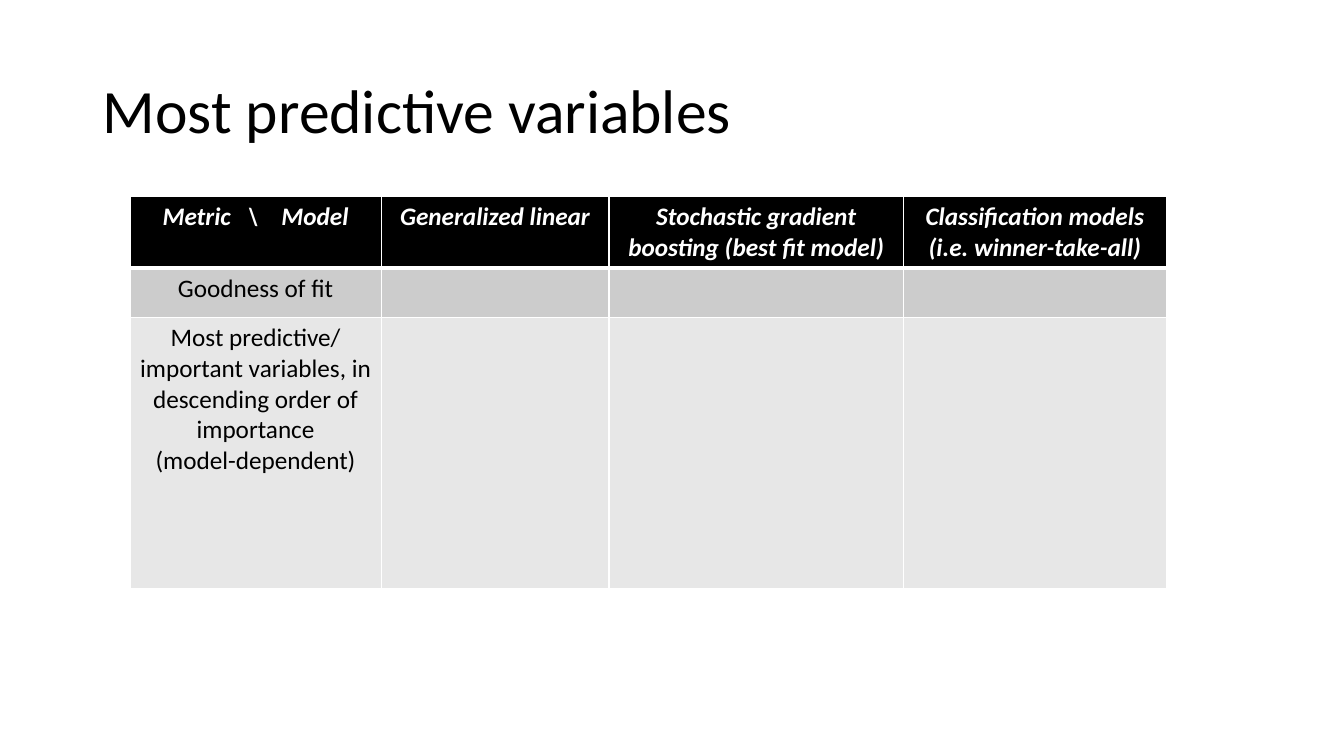
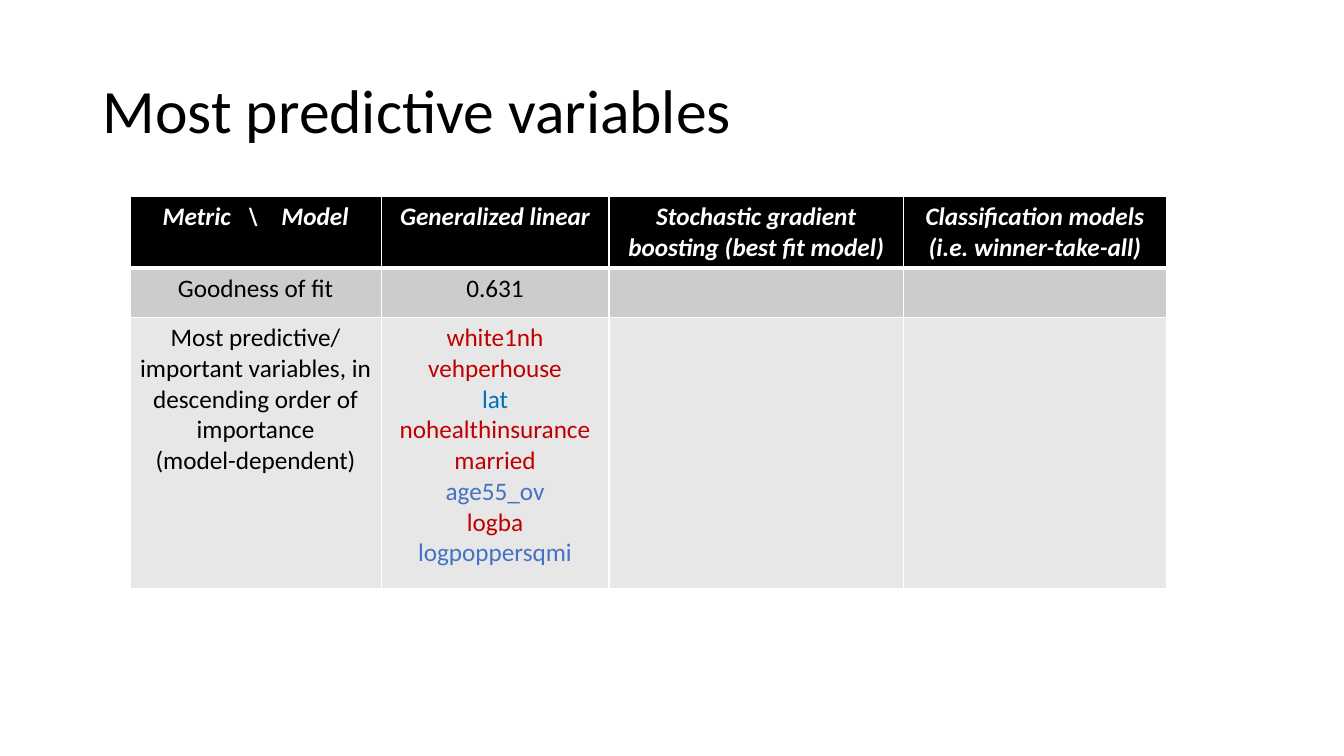
"""Build two slides that compare the most predictive variables by model."""
from dataclasses import dataclass

from lxml import etree
from pptx import Presentation
from pptx.dml.color import RGBColor
from pptx.enum import text
from pptx.oxml import ns
from pptx.util import Inches, Pt


@dataclass(frozen=True)
class Theme:
    font: str = "Calibri"
    title_size: int = 44
    body_size: int = 18
    ink: str = "000000"
    paper: str = "FFFFFF"
    row_fills: tuple = ("000000", "CCCCCC", "E7E7E7")
    red: str = "C00000"
    blue: str = "0070C0"
    soft_blue: str = "4472C4"
    rule: int = 1
    header_rule: int = 3


class SlideBuilder:
    def __init__(self, deck, theme):
        self.deck = deck
        self.theme = theme
        self.page = None

    def add_page(self, title):
        self.page = self.deck.slides.add_slide(self.deck.slide_layouts[5])
        box = self.page.shapes.title
        box.left, box.top = Inches(0.92), Inches(0.4)
        box.width, box.height = Inches(11.5), Inches(1.45)
        frame = box.text_frame
        frame.text = title
        frame.vertical_anchor = text.MSO_ANCHOR.MIDDLE
        para = frame.paragraphs[0]
        para.alignment = text.PP_ALIGN.LEFT
        para.line_spacing = 0.9
        self.style(para, self.theme.title_size, self.theme.ink)

    def style(self, para, size, color, strong=False):
        for span in para.runs:
            font = span.font
            font.name = self.theme.font
            font.size = Pt(size)
            font.bold = font.italic = strong
            font.color.rgb = RGBColor.from_string(color)

    def add_table(self, rows, widths, heights):
        frame = self.page.shapes.add_table(
            len(rows), len(widths), Inches(1.29), Inches(1.95),
            Inches(sum(widths)), Inches(sum(heights)))
        table = frame.table
        for column, width in zip(table.columns, widths):
            column.width = Inches(width)
        for row, height in zip(table.rows, heights):
            row.height = Inches(height)
        for row_index, row in enumerate(rows):
            for column_index, lines in enumerate(row):
                self.fill_cell(table.cell(row_index, column_index), row_index, lines)

    def fill_cell(self, cell, row_index, lines):
        theme = self.theme
        header = row_index == 0
        self.add_border(cell, "L", theme.rule)
        self.add_border(cell, "R", theme.rule)
        self.add_border(cell, "T", theme.header_rule if row_index == 1 else theme.rule)
        self.add_border(cell, "B", theme.header_rule if header else theme.rule)
        cell.fill.solid()
        cell.fill.fore_color.rgb = RGBColor.from_string(theme.row_fills[row_index])
        default_color = theme.paper if header else theme.ink
        entries = [line if isinstance(line, tuple) else (line, default_color)
                   for line in lines]
        cell.text_frame.text = "\n".join(words for words, _ in entries)
        for para, (_, color) in zip(cell.text_frame.paragraphs, entries):
            para.alignment = text.PP_ALIGN.CENTER
            self.style(para, theme.body_size, color, strong=header)

    def add_border(self, cell, side, points):
        properties = cell._tc.get_or_add_tcPr()
        line = etree.SubElement(properties, ns.qn(f"a:ln{side}"), w=str(Pt(points)))
        fill = etree.SubElement(line, ns.qn("a:solidFill"))
        etree.SubElement(fill, ns.qn("a:srgbClr"), val=self.theme.paper)


THEME = Theme()
TITLE = "Most predictive variables"
HEADER = [
    ["Metric   \\    Model"],
    ["Generalized linear"],
    ["Stochastic gradient boosting (best fit model)"],
    ["Classification models", "(i.e. winner-take-all)"],
]
FIT_LABEL = ["Goodness of fit"]
VARIABLES_LABEL = [
    "Most predictive/",
    "important variables, in descending order of importance",
    "(model-dependent)",
]
LINEAR_VARIABLES = [
    ("white1nh", THEME.red),
    ("vehperhouse", THEME.red),
    ("lat", THEME.blue),
    ("nohealthinsurance", THEME.red),
    ("married", THEME.red),
    ("age55_ov", THEME.soft_blue),
    ("logba", THEME.red),
    ("logpoppersqmi", THEME.soft_blue),
]
COLUMN_WIDTHS = [2.49, 2.26, 2.92, 2.61]
ROW_HEIGHTS = [0.7, 0.49, 2.69]

deck = Presentation()
deck.slide_width, deck.slide_height = Inches(13.33), Inches(7.5)
builder = SlideBuilder(deck, THEME)
for linear_fit, linear_variables in [([], []), (["0.631"], LINEAR_VARIABLES)]:
    builder.add_page(TITLE)
    builder.add_table(
        [HEADER,
         [FIT_LABEL, linear_fit, [], []],
         [VARIABLES_LABEL, linear_variables, [], []]],
        COLUMN_WIDTHS, ROW_HEIGHTS)
deck.save("out.pptx")
